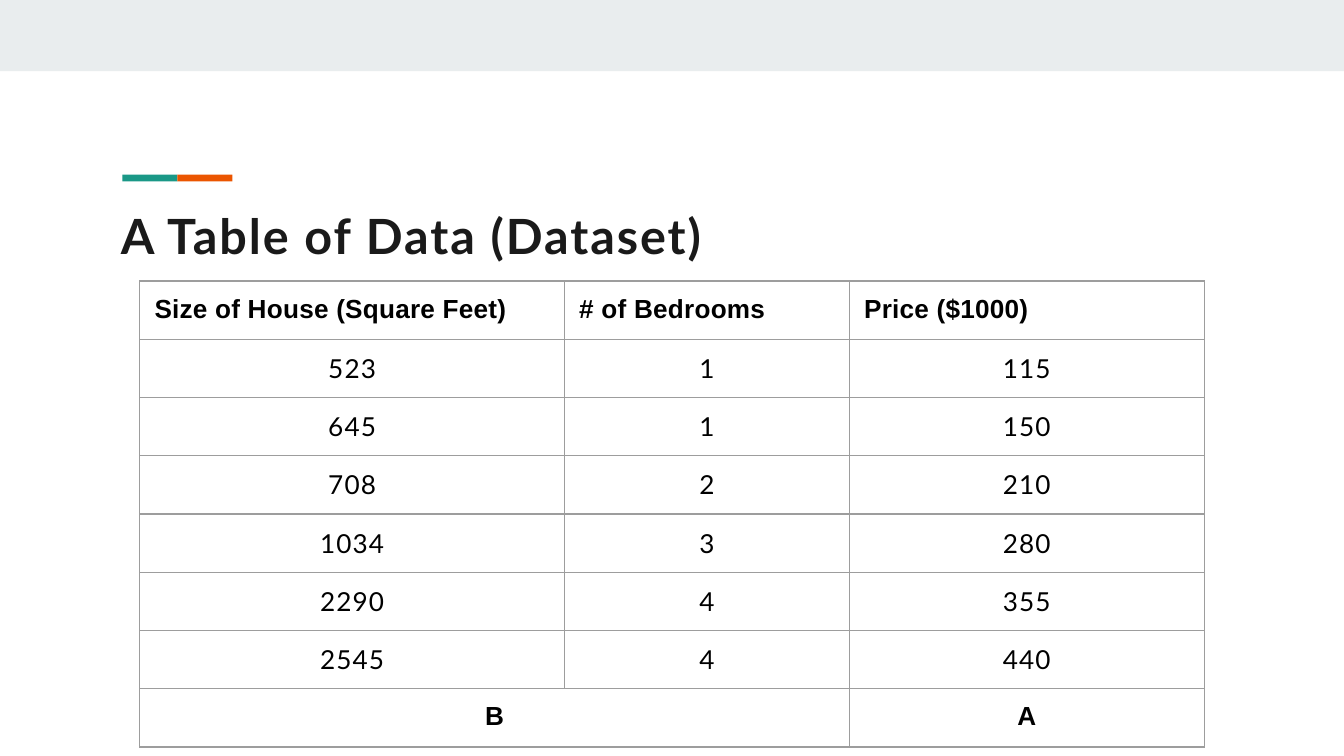
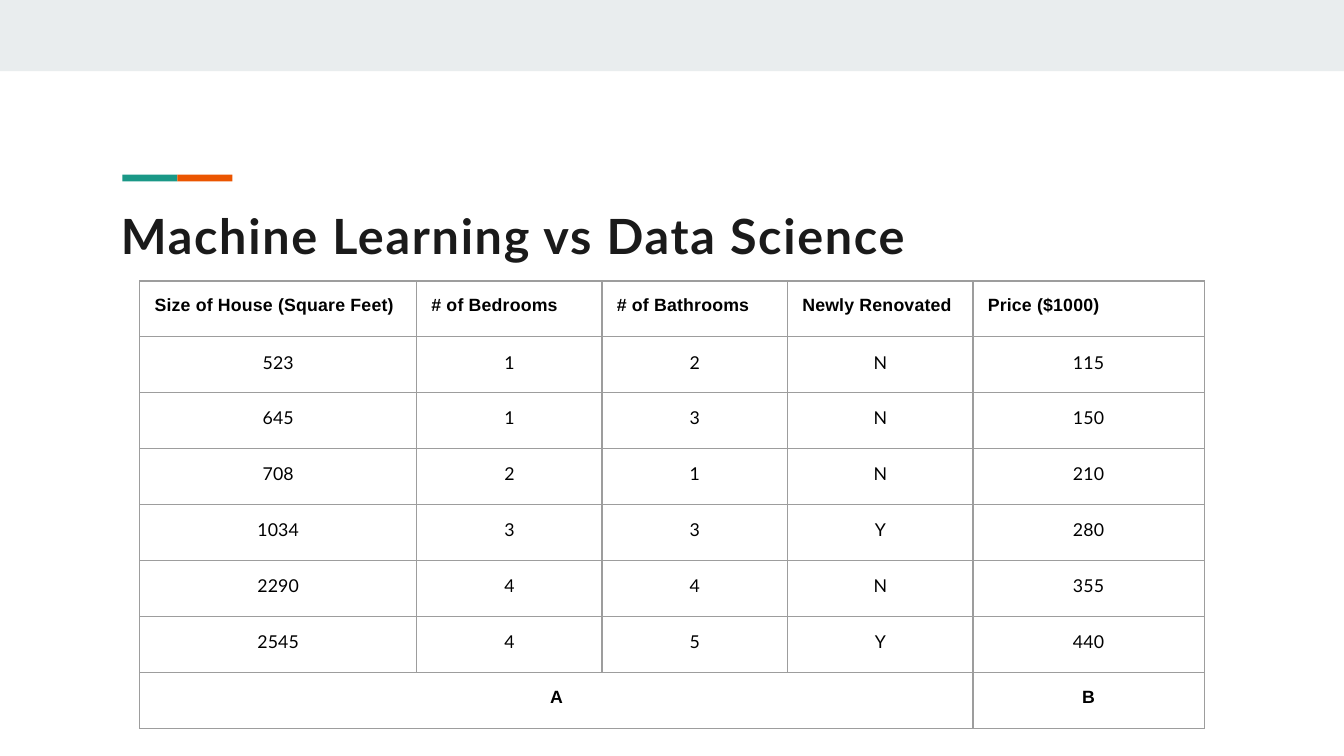
from lxml import etree
from pptx import Presentation
from pptx.dml.color import RGBColor
from pptx.enum.shapes import MSO_SHAPE
from pptx.enum.text import MSO_ANCHOR, PP_ALIGN
from pptx.oxml.ns import qn
from pptx.util import Inches, Pt

RECTANGLE = MSO_SHAPE.RECTANGLE
TOP = MSO_ANCHOR.TOP
LEFT, CENTER = PP_ALIGN.LEFT, PP_ALIGN.CENTER

SLIDE_WIDTH = 10
SLIDE_HEIGHT = SLIDE_WIDTH * 9 / 16

BAND, TEAL, ORANGE = "E9EDEE", "1A9887", "EB5500"
TITLE_INK, TABLE_INK, GRID = "1A1A1A", "000000", "9D9D9D"
HEADING_FONT, LABEL_FONT = "Lato", "Arial"

TITLE_BOX = (0.88, 1.51, 8, 0.47)
TABLE_LEFT, TABLE_TOP = 1.04, 2.09

SIZES = ["523", "645", "708", "1034", "2290", "2545"]
BEDROOMS = ["1", "1", "2", "3", "4", "4"]
BATHROOMS = ["2", "3", "1", "3", "4", "5"]
RENOVATED = ["N", "N", "N", "Y", "N", "Y"]
PRICES = ["115", "150", "210", "280", "355", "440"]


def color(hex_string):
    """Return the colour for a hex string."""
    return RGBColor.from_string(hex_string)


def add_run(paragraph, text, font, size, ink, bold, tracking):
    """Add one formatted run with letter spacing in points."""
    run = paragraph.add_run()
    run.text = text
    run.font.name = font
    run.font.size = Pt(size)
    run.font.bold = bold
    run.font.color.rgb = color(ink)
    run.font._element.set("spc", str(round(tracking * 100)))


def add_bar(slide, box, fill):
    """Add a plain filled rectangle."""
    shape = slide.shapes.add_shape(RECTANGLE, *map(Inches, box))
    shape.shadow.inherit = False
    shape.fill.solid()
    shape.fill.fore_color.rgb = color(fill)
    shape.line.fill.background()


def add_frame(slide):
    """Add the top band and the two-colour accent."""
    add_bar(slide, (0, 0, SLIDE_WIDTH, 0.53), BAND)
    left, top, width, height = 0.91, 1.3, 0.41, 0.05
    for index, fill in enumerate((TEAL, ORANGE)):
        add_bar(slide, (left + index * width, top, width, height), fill)


def add_title(slide, box, text, tracking):
    """Add the slide title."""
    frame = slide.shapes.add_textbox(*map(Inches, box)).text_frame
    frame.word_wrap = True
    frame.vertical_anchor = TOP
    frame.margin_left = frame.margin_top = Inches(0.02)
    frame.margin_right = frame.margin_bottom = 0
    add_run(frame.paragraphs[0], text, HEADING_FONT, 26, TITLE_INK, True, tracking)


def add_borders(cell):
    """Draw the grid line on all four sides of a cell."""
    properties = cell._tc.get_or_add_tcPr()
    for index, side in enumerate(("a:lnL", "a:lnR", "a:lnT", "a:lnB")):
        line = etree.Element(qn(side), w=str(Pt(0.75)))
        fill = etree.SubElement(line, qn("a:solidFill"))
        etree.SubElement(fill, qn("a:srgbClr"), val=GRID)
        properties.insert(index, line)


def format_cell(cell, top_margin):
    """Clear the default cell style and add the grid."""
    cell.fill.background()
    cell.margin_left = cell.margin_right = cell.margin_bottom = 0
    cell.margin_top = Inches(top_margin)
    cell.vertical_anchor = TOP
    add_borders(cell)


def add_data_table(slide, height, widths, columns, groups, size, tracking, top_margin):
    """Add a table of headed columns with a merged group row below."""
    last_row, last_column = len(SIZES) + 1, len(columns) - 1
    box = (TABLE_LEFT, TABLE_TOP, sum(widths), height)
    table = slide.shapes.add_table(last_row + 1, len(columns), *map(Inches, box)).table
    table.first_row = table.horz_banding = False
    for row in table.rows:
        row.height = Inches(height / (last_row + 1))
        for cell in row.cells:
            format_cell(cell, top_margin)

    for index, (width, (heading, values)) in enumerate(zip(widths, columns)):
        table.columns[index].width = Inches(width)
        header = table.cell(0, index)
        header.margin_left = Inches(0.11)
        paragraph = header.text_frame.paragraphs[0]
        paragraph.alignment = LEFT
        add_run(paragraph, heading, LABEL_FONT, size, TABLE_INK, True, 0.1)
        for row_index, value in enumerate(values, 1):
            paragraph = table.cell(row_index, index).text_frame.paragraphs[0]
            paragraph.alignment = CENTER
            add_run(paragraph, value, HEADING_FONT, size, TABLE_INK, False, tracking)

    table.cell(last_row, 0).merge(table.cell(last_row, last_column - 1))
    for index, label in zip((0, last_column), groups):
        paragraph = table.cell(last_row, index).text_frame.paragraphs[0]
        paragraph.alignment = CENTER
        add_run(paragraph, label, LABEL_FONT, size, TABLE_INK, True, 0)


def add_table_slide(presentation, title, title_tracking, **table_options):
    """Add a slide with a title and a data table."""
    slide = presentation.slides.add_slide(presentation.slide_layouts[6])
    add_frame(slide)
    add_title(slide, TITLE_BOX, title, title_tracking)
    add_data_table(slide, **table_options)


def main():
    """Build and save the presentation."""
    presentation = Presentation()
    presentation.slide_width = Inches(SLIDE_WIDTH)
    presentation.slide_height = Inches(SLIDE_HEIGHT)
    size_column = ("Size of House (Square Feet)", SIZES)
    bedroom_column = ("# of Bedrooms", BEDROOMS)
    price_column = ("Price ($1000)", PRICES)

    add_table_slide(
        presentation, "A Table of Data (Dataset)", 1.06,
        height=3.47, widths=[3.16, 2.12, 2.64],
        columns=[size_column, bedroom_column, price_column],
        groups=("B", "A"), size=14, tracking=0.6, top_margin=0.1,
    )
    add_table_slide(
        presentation, "Machine Learning vs Data Science", 0.91,
        height=3.33, widths=[2.06, 1.38, 1.38, 1.38, 1.72],
        columns=[
            size_column, bedroom_column, ("# of Bathrooms", BATHROOMS),
            ("Newly Renovated", RENOVATED), price_column,
        ],
        groups=("A", "B"), size=9.5, tracking=0.1, top_margin=0.11,
    )
    presentation.save("out.pptx")


if __name__ == "__main__":
    main()
